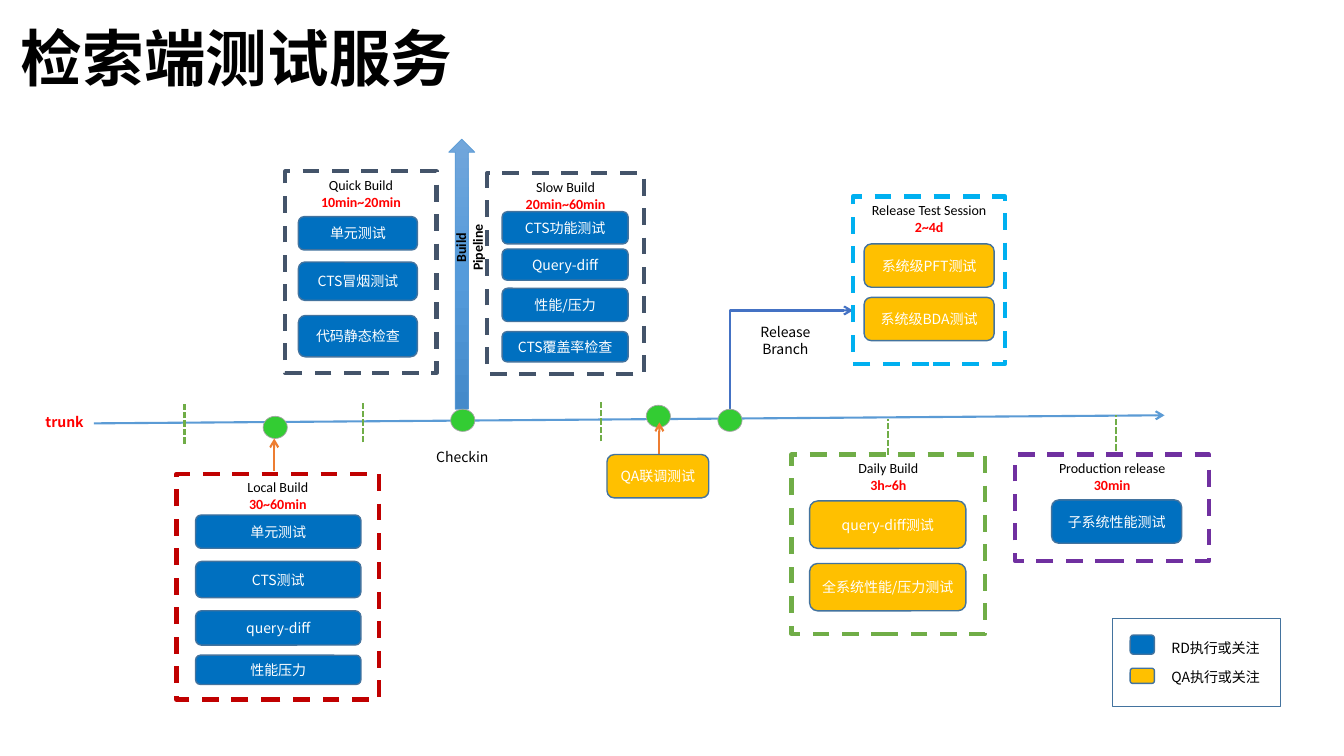
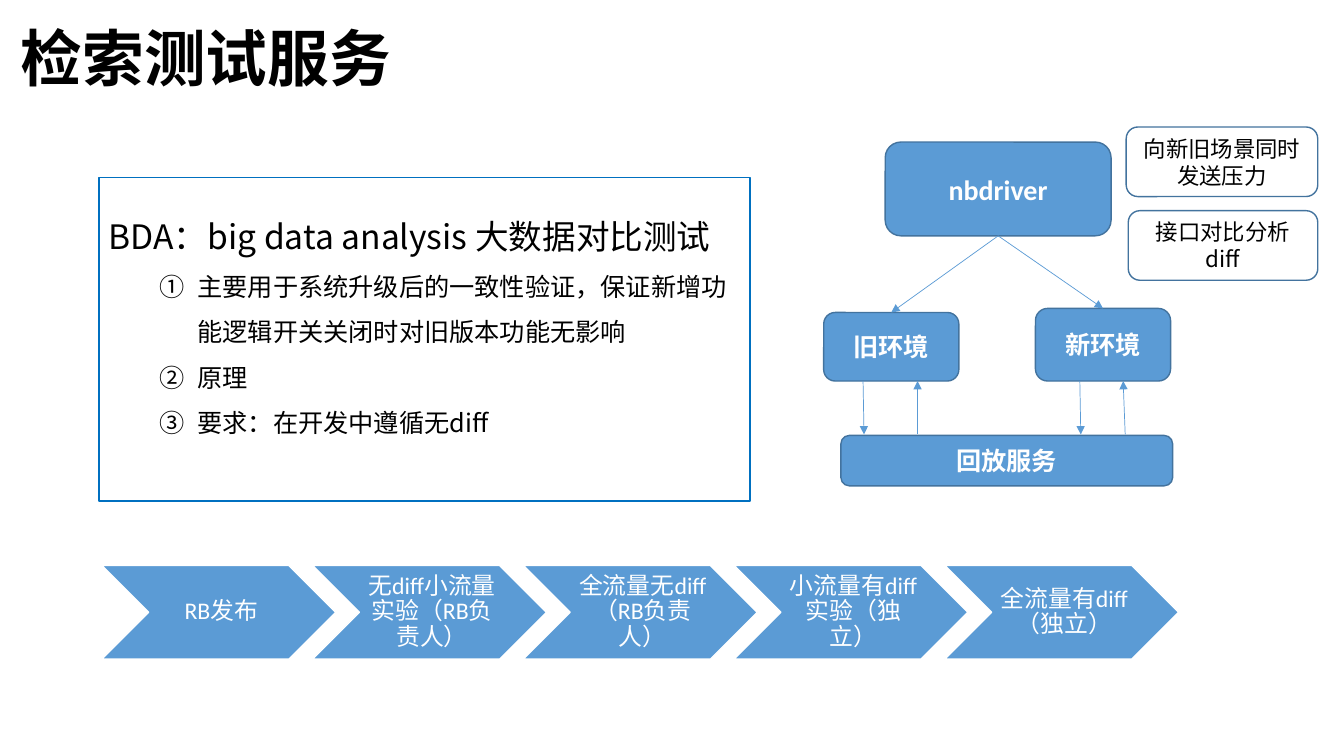
from copy import deepcopy
from dataclasses import dataclass

from lxml import etree
from pptx import Presentation
from pptx import util as u
from pptx.dml.color import RGBColor
from pptx.enum import dml, shapes, text
from pptx.oxml.ns import qn

PX = 9144
KIND = shapes.MSO_SHAPE
ALIGN = text.PP_ALIGN
ANCHOR = text.MSO_ANCHOR
DASH = dml.MSO_LINE


@dataclass(frozen=True)
class Theme:
    cjk: str = "Noto Sans CJK SC"
    latin: str = "Calibri"
    black: str = "000000"
    white: str = "FFFFFF"
    red: str = "FF0000"
    blue: str = "0070C0"
    gold: str = "FFC000"
    sky: str = "5B9BD5"
    edge: str = "43739E"
    green: str = "70AD47"
    dot: str = "33CC33"
    gray: str = "A5A5A5"
    slate: str = "44546A"
    crimson: str = "C00000"
    cyan: str = "00B0F0"
    purple: str = "7030A0"
    orange: str = "ED7D31"
    royal: str = "4472C4"
    shades: tuple = ("71A6DB", "559BDB", "448ACA")
    title: int = 44
    lead: int = 24
    driver: int = 20
    body: int = 18
    step: int = 17
    note: int = 16
    small: int = 10


T = Theme()


def px(*vals):
    return [u.Emu(v * PX) for v in vals]


def rgb(hue):
    return RGBColor.from_string(hue)


def style(para, size, hue, bold=False, font=T.cjk, align=ALIGN.CENTER, lead=None):
    para.alignment = align
    para.line_spacing = lead
    for run in para.runs:
        run.font.size = u.Pt(size)
        run.font.bold = bold
        run.font.color.rgb = rgb(hue)
        run.font.name = font
        etree.SubElement(run.font._element, qn("a:ea"), typeface=T.cjk)


def write(shape, words, size, hue, anchor=ANCHOR.MIDDLE, **looks):
    frame = shape.text_frame
    frame.word_wrap = True
    frame.vertical_anchor = anchor
    frame.text = words
    for para in frame.paragraphs:
        style(para, size, hue, **looks)
    return frame


def label(slide, box, words, size=T.small, hue=T.black, anchor=ANCHOR.TOP, **looks):
    shape = slide.shapes.add_textbox(*px(*box))
    write(shape, words, size, hue, anchor, **looks)
    return shape


def draw(slide, kind, box, fill=None, line=T.edge, width=1):
    shape = slide.shapes.add_shape(kind, *px(*box))
    shape.shadow.inherit = False
    if fill:
        shape.fill.solid()
        shape.fill.fore_color.rgb = rgb(fill)
    else:
        shape.fill.background()
    shape.line.color.rgb = rgb(line)
    shape.line.width = u.Pt(width)
    return shape


def button(slide, box, words, fill=T.blue, size=T.small, hue=T.white, **looks):
    shape = draw(slide, KIND.ROUNDED_RECTANGLE, box, fill)
    write(shape, words, size, hue, **looks)


def panel(slide, box, hue, name, time):
    shape = draw(slide, KIND.RECTANGLE, box, None, hue, 3)
    shape.line.dash_style = DASH.DASH
    frame = write(shape, name + "\n" + time, T.small, T.black, ANCHOR.TOP, font=T.latin)
    mark = frame.paragraphs[1].runs[0].font
    mark.bold = True
    mark.color.rgb = rgb(T.red)


def link(slide, ends, hue, width, head=None, tail=None, dash=None, bent=False):
    kind = shapes.MSO_CONNECTOR.ELBOW if bent else shapes.MSO_CONNECTOR.STRAIGHT
    wire = slide.shapes.add_connector(kind, *px(*ends))
    wire.line.color.rgb = rgb(hue)
    wire.line.width = u.Pt(width)
    if dash:
        wire.line.dash_style = dash
    prop = wire._element.spPr
    if bent:
        prop.find(qn("a:prstGeom")).set("prst", "bentConnector2")
    for tag, tip in (("a:headEnd", head), ("a:tailEnd", tail)):
        if tip:
            etree.SubElement(prop.find(qn("a:ln")), qn(tag), type=tip)
    etree.SubElement(prop, qn("a:effectLst"))


def begin(deck, name):
    slide = deck.slides.add_slide(deck.slide_layouts[6])
    label(slide, (11, 10, 1308, 103), name, T.title, anchor=ANCHOR.MIDDLE,
          bold=True, align=ALIGN.LEFT, lead=0.9)
    return slide


def tower(slide):
    shape = draw(slide, KIND.UP_ARROW, (445, 138, 26, 268), T.sky, T.sky, 0.5)
    shape.fill.gradient()
    shape.fill.gradient_angle = 270
    stops = shape.fill._fill._gradFill.find(qn("a:gsLst"))
    stops.insert(1, deepcopy(stops[0]))
    for stop, hue, place in zip(shape.fill.gradient_stops, T.shades, (0, 0.5, 1)):
        stop.color.rgb = rgb(hue)
        stop.position = place
    label(slide, (409, 232, 96, 27), "Build Pipeline", bold=True, font=T.latin).rotation = 270


def trunk(slide):
    link(slide, (93, 420, 1155, 412), T.sky, 1.5, tail="arrow")
    link(slide, (846, 308, 724, 406), T.royal, 1.5, head="arrow", bent=True)
    for x, top, size in ((183, 401, 39), (360, 400, 39), (596, 399, 39),
                         (881, 416, 35), (1107, 412, 35)):
        link(slide, (x, top + size, x, top), T.green, 1.5, dash=DASH.SQUARE_DOT)
    tower(slide)
    for x, y in ((273, 424), (459, 417), (653, 413), (724, 417)):
        draw(slide, KIND.OVAL, (x - 12, y - 11, 24, 22), T.dot, T.gray, 0.5)
    for x, low, top in ((272, 467, 435), (654, 450, 419)):
        link(slide, (x, low, x, top), T.orange, 1.5, tail="arrow")
    label(slide, (416, 440, 85, 27), "Checkin")
    label(slide, (736, 316, 86, 44), "Release Branch")
    label(slide, (28, 405, 72, 27), "trunk", hue=T.red, bold=True)


def legend(slide):
    draw(slide, KIND.RECTANGLE, (1103, 614, 167, 87), width=0.75)
    for top, size, hue, low, words in ((630, 19, T.blue, 630, "RD执行或关注"),
                                       (663, 15, T.gold, 658, "QA执行或关注")):
        draw(slide, KIND.ROUNDED_RECTANGLE, (1121, top, 24, size), hue)
        label(slide, (1152, low, 130, 57), words, align=ALIGN.LEFT)


def flow(deck):
    slide = begin(deck, "检索端测试服务")
    trunk(slide)
    stages = (
        ((175, 470, 201, 224), T.crimson, "Local Build", "30~60min", T.blue, 194, 164,
         ((511, 33, "单元测试"), (557, 36, "CTS测试"), (606, 34, "query-diff"), (650, 29, "性能压力"))),
        ((283, 170, 150, 200), T.slate, "Quick Build", "10min~20min", T.blue, 296, 118,
         ((215, 33, "单元测试"), (260, 38, "CTS冒烟测试"), (313, 41, "代码静态检查"))),
        ((483, 172, 156, 199), T.slate, "Slow Build", "20min~60min", T.blue, 498, 125,
         ((210, 32, "CTS功能测试"), (247, 31, "Query-diff"), (286, 33, "性能/压力"), (329, 30, "CTS覆盖率检查"))),
        ((846, 195, 151, 166), T.cyan, "Release Test Session", "2~4d", T.gold, 857, 129,
         ((242, 43, "系统级PFT测试"), (295, 43, "系统级BDA测试"))),
        ((785, 451, 192, 178), T.green, "Daily Build", "3h~6h", T.gold, 803, 155,
         ((497, 47, "query-diff测试"), (559, 47, "全系统性能/压力测试"))),
        ((1007, 451, 192, 106), T.purple, "Production release", "30min", T.blue, 1043, 129,
         ((496, 43, "子系统性能测试"),)),
    )
    for box, hue, name, time, fill, left, wide, tests in stages:
        panel(slide, box, hue, name, time)
        for top, high, words in tests:
            button(slide, (left, top, wide, high), words, fill)
    button(slide, (602, 451, 101, 43), "QA联调测试", T.gold)
    legend(slide)


def brief(slide):
    shape = draw(slide, KIND.RECTANGLE, (98, 176, 646, 321), None, T.blue, 1.25)
    lines = ("BDA：big data analysis 大数据对比测试",
             "主要用于系统升级后的一致性验证，保证新增功能逻辑开关关闭时对旧版本功能无影响",
             "原理", "要求：在开发中遵循无diff")
    frame = write(shape, "\n".join(lines), T.body, T.black, align=ALIGN.LEFT, lead=1.5)
    frame.margin_bottom = px(50)[0]
    first, *items = frame.paragraphs
    first.runs[0].font.size = u.Pt(T.lead)
    for para in items:
        para.level = 1
        prop = para._p.get_or_add_pPr()
        prop.set("marL", str(88 * PX))
        prop.set("indent", str(-38 * PX))
        etree.SubElement(prop, qn("a:buFont"), typeface=T.cjk)
        etree.SubElement(prop, qn("a:buAutoNum"), type="circleNumDbPlain")


def replay(slide):
    button(slide, (878, 141, 224, 93), "nbdriver", T.sky, T.driver, bold=True, font=T.latin)
    for box, words in (((817, 310, 134, 68), "旧环境"), ((1027, 306, 134, 72), "新环境"),
                       ((834, 432, 329, 50), "回放服务")):
        button(slide, box, words, T.sky, T.body, bold=True)
    for ends in ((990, 234, 884, 310), (990, 234, 1094, 306), (856, 378, 857, 431),
                 (910, 431, 910, 378), (1071, 378, 1072, 431), (1116, 431, 1114, 378)):
        link(slide, ends, T.sky, 0.5, tail="triangle")
    for box, words in (((1117, 126, 190, 69), "向新旧场景同时发送压力"),
                       ((1119, 209, 188, 69), "接口对比分析diff")):
        button(slide, box, words, None, T.note, T.black)


def steps(slide):
    names = ("RB发布", "无diff小流量实验（RB负责人）", "全流量无diff（RB负责人）",
             "小流量有diff实验（独立）", "全流量有diff（独立）")
    for i, name in enumerate(names):
        shape = draw(slide, KIND.CHEVRON, (101 + 209 * i, 561, 232, 93), T.sky, T.white)
        frame = write(shape, name, T.step, T.white, font=T.latin, lead=0.9)
        frame.margin_left = px(7)[0]
        frame.margin_right = frame.margin_top = frame.margin_bottom = px(2)[0]


def bda(deck):
    slide = begin(deck, "检索测试服务")
    brief(slide)
    replay(slide)
    steps(slide)


def main():
    deck = Presentation()
    deck.slide_width, deck.slide_height = px(1333, 750)
    flow(deck)
    bda(deck)
    deck.save("out.pptx")


if __name__ == "__main__":
    main()
